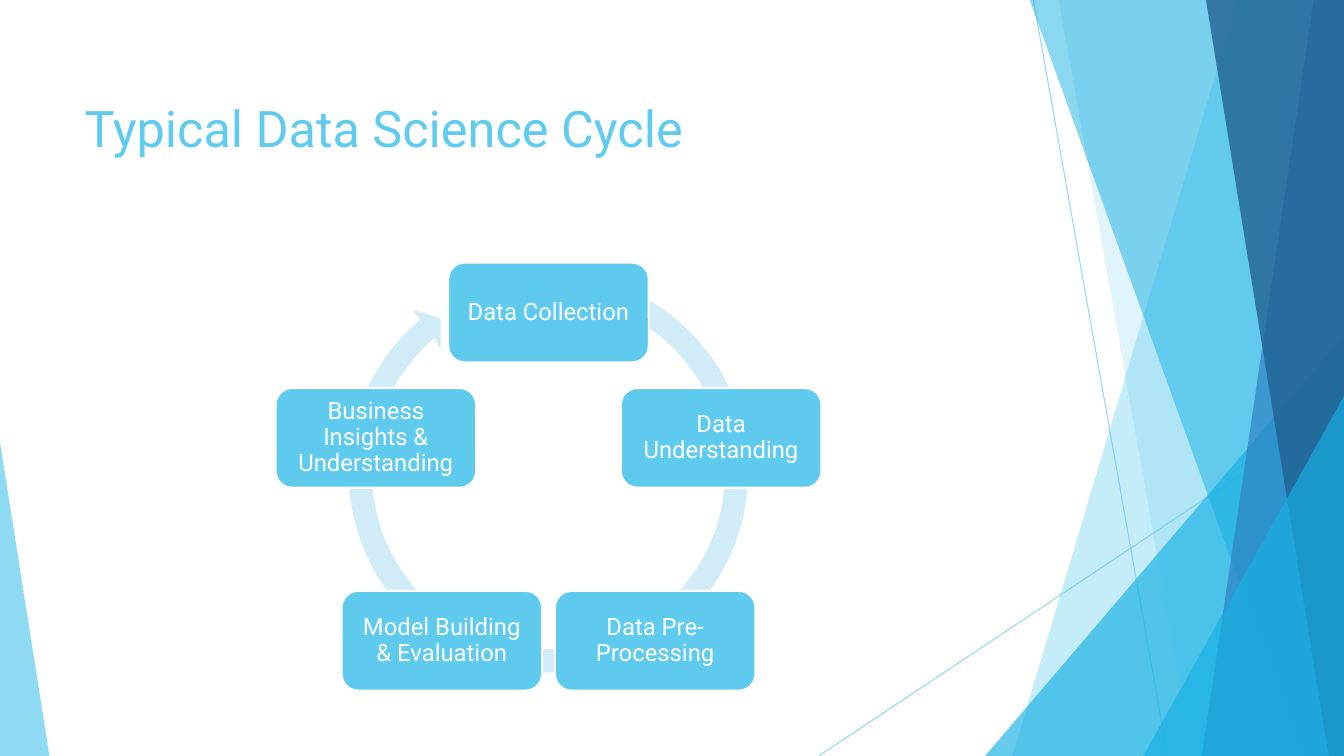
"""Build the data science cycle slide with its faceted border."""
import math
import pptx
import pptx.util
import pptx.dml.color
import pptx.enum.shapes
import pptx.enum.text
import pptx.oxml.ns
import lxml.etree

Inches = pptx.util.Inches
Kind = pptx.enum.shapes.MSO_SHAPE
Align = pptx.enum.text.PP_ALIGN
Anchor = pptx.enum.text.MSO_ANCHOR
tag = pptx.oxml.ns.qn

TITLE = "Typical Data Science Cycle"
STEPS = [
    "Data Collection",
    "Data Understanding",
    "Data Pre-Processing",
    "Model Building & Evaluation",
    "Business Insights & Understanding",
]
THEME = {
    "font": "Roboto", "title": 36, "step": 17, "hair": 0.75, "edge": 1.5,
    "sky": "5FCBEF", "box": "5ECBEE", "ring": "D1ECF7", "white": "FFFFFF",
    "deep": "16B0E3", "blue": "2E83C3", "navy": "226292",
}
WIDE, TALL, TOP = 13.33, 7.5, -0.01
LINES = [((10.25, 0), (11.58, TALL)), ((WIDE, 4.03), (8.12, TALL))]
FACETS = [
    ("band", (12.28, 10.04), "sky", 36),
    ("band", (10.5, 11.83), "sky", 20),
    ("peak", (9.77, 3.33, 3.56, 4.17, 1), "deep", 66),
    ("band", (10.21, 12.91), "deep", 50),
    ("band", (13.03, 11.92), "blue", 70),
    ("band", (11.96, 13.18), "navy", 80),
    ("peak", (11.34, 3.93, 1.99, 3.57, 1), "deep", 66),
    ("peak", (0, 4.39, 0.49, 3.11, 0), "sky", 70),
]
HUB_X, HUB_Y, ORBIT = 5.44, 4.9, 1.8
BOX_W, BOX_H = 1.99, 0.99
RING_Y, OUTER, INNER = 4.69, 1.98, 1.75
START, END, CURVES = -70, 230, 4
HEAD = [(4.09, 3.07), (4.37, 3.16), (4.37, 3.47)]


def color(name):
    return pptx.dml.color.RGBColor.from_string(THEME[name])


def apply(item, values):
    for name, value in values.items():
        setattr(item, name, value)


def fade(shape, alpha):
    for node in shape._element.spPr.iter(tag("a:srgbClr")):
        lxml.etree.SubElement(node, tag("a:alpha")).set("val", str(alpha * 1000))


def paint(shape, name):
    shape.shadow.inherit = False
    shape.fill.solid()
    shape.fill.fore_color.rgb = color(name)
    shape.line.fill.background()
    return shape


def trace(shapes, points, name):
    spots = [(Inches(x), Inches(y)) for x, y in points]
    pen = shapes.build_freeform(*spots[0], scale=1)
    pen.add_line_segments(spots[1:], close=True)
    return paint(pen.convert_to_shape(), name)


def write(shape, text, size, ink, frame, para):
    apply(shape.text_frame, {"word_wrap": True, **frame})
    line = shape.text_frame.paragraphs[0]
    line.text = text
    apply(line, para)
    font = line.runs[0].font
    apply(font, {"name": THEME["font"], "size": pptx.util.Pt(THEME[size])})
    font.color.rgb = color(ink)


def add_line(shapes, start, end):
    line = shapes.add_connector(
        pptx.enum.shapes.MSO_CONNECTOR.STRAIGHT,
        *map(Inches, start + end))
    line.line.color.rgb = color("sky")
    line.line.width = pptx.util.Pt(THEME["hair"])
    lxml.etree.SubElement(line._element.spPr, tag("a:effectLst"))
    fade(line, 70)


def add_facet(shapes, kind, place, name, alpha):
    if kind == "band":
        high, low = place
        points = [(high, TOP), (WIDE, TOP), (WIDE, TALL), (low, TALL)]
        shape = trace(shapes, points, name)
    else:
        shape = shapes.add_shape(Kind.ISOSCELES_TRIANGLE, *map(Inches, place[:4]))
        shape.adjustments[0] = place[4]
        paint(shape, name)
    fade(shape, alpha)


def arc(reach, start, end):
    """Return the start point, then three Bezier points for each curve."""
    step = math.radians(end - start) / CURVES
    pull = 4 / 3 * math.tan(step / 4)
    points = []
    for index in range(CURVES + 1):
        turn = math.radians(start) + index * step
        cos, sin = math.cos(turn), math.sin(turn)
        for bend in (-pull, 0, pull):
            points.append((HUB_X + reach * (cos - bend * sin),
                           RING_Y + reach * (sin + bend * cos)))
    return points[1:-1]


def add_ring(shapes):
    outer, inner = arc(OUTER, START, END), arc(INNER, END, START)
    ring = trace(shapes, outer + HEAD + inner, "ring")
    sides = list(ring._element.spPr.iter(tag("a:lnTo")))
    span = 3 * CURVES
    for first in (0, len(outer) + len(HEAD)):
        for index in range(first, first + span, 3):
            trio = sides[index:index + 3]
            curve = lxml.etree.Element(tag("a:cubicBezTo"))
            trio[0].addprevious(curve)
            for side in trio:
                curve.append(side[0])
                side.getparent().remove(side)


def add_step(shapes, index, text):
    turn = 2 * math.pi * index / len(STEPS)
    left = HUB_X + ORBIT * math.sin(turn) - BOX_W / 2
    top = HUB_Y - ORBIT * math.cos(turn) - BOX_H / 2
    box = shapes.add_shape(
        Kind.ROUNDED_RECTANGLE, *map(Inches, (left, top, BOX_W, BOX_H)))
    paint(box, "box")
    box.line.color.rgb = color("white")
    box.line.width = pptx.util.Pt(THEME["edge"])
    frame = {"margin_" + side: Inches(0.12)
             for side in ("left", "right", "top", "bottom")}
    frame["vertical_anchor"] = Anchor.MIDDLE
    write(box, text, "step", "white", frame,
          {"alignment": Align.CENTER, "line_spacing": 0.9})


def main():
    deck = pptx.Presentation()
    apply(deck, {"slide_width": Inches(WIDE), "slide_height": Inches(TALL)})
    shapes = deck.slides.add_slide(deck.slide_layouts[6]).shapes
    for ends in LINES:
        add_line(shapes, *ends)
    for facet in FACETS:
        add_facet(shapes, *facet)
    title = shapes.add_textbox(*map(Inches, (0.74, 0.91, 9.4, 1.44)))
    write(title, TITLE, "title", "sky", {"vertical_anchor": Anchor.TOP},
          {"alignment": Align.LEFT})
    add_ring(shapes)
    for index, text in enumerate(STEPS):
        add_step(shapes, index, text)
    deck.save("out.pptx")


if __name__ == "__main__":
    main()
